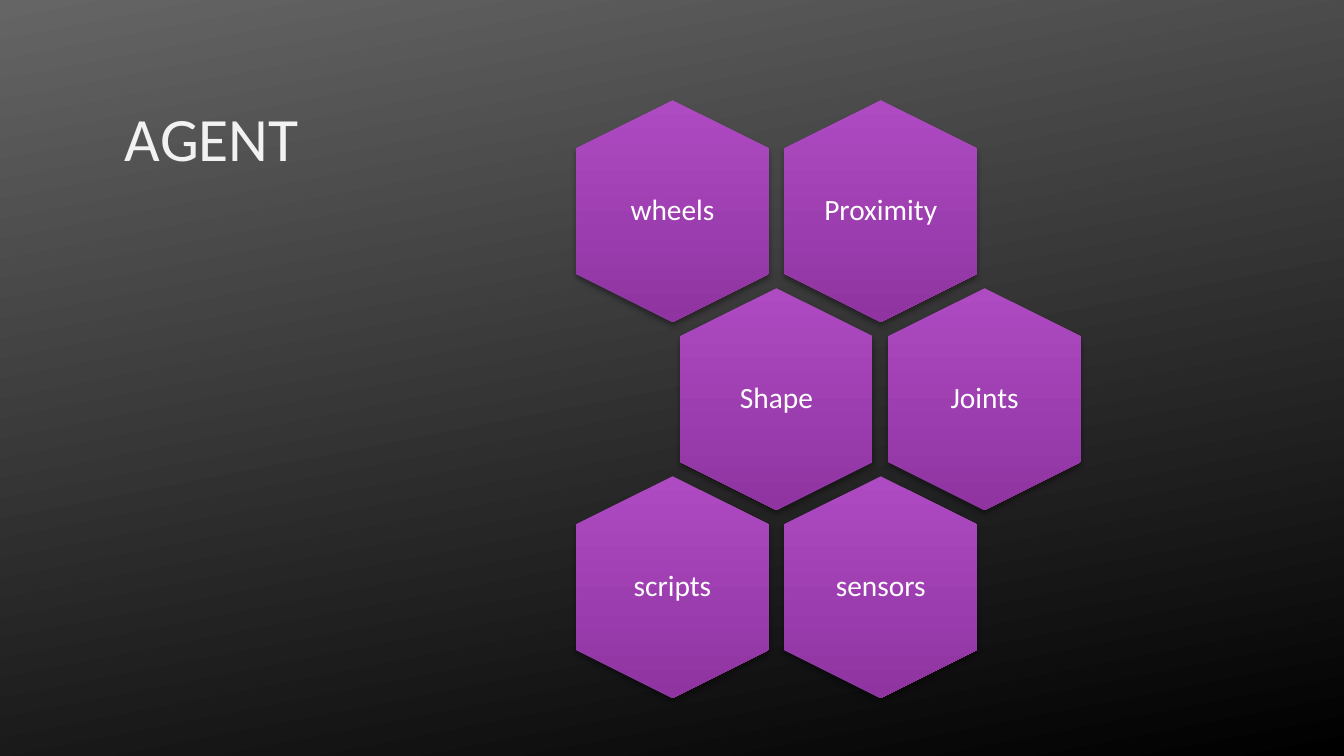
from pptx import Presentation
from pptx.dml.color import RGBColor
from pptx.enum.shapes import MSO_SHAPE as Kind
from pptx.enum.text import MSO_ANCHOR as Anchor, PP_ALIGN as Align
from pptx.oxml import parse_xml
from pptx.oxml.ns import nsdecls, qn
from pptx.util import Inches, Pt

ROWS = [(0, ["wheels", "Proximity"]),
        (1.03, ["Shape", "Joints"]),
        (0, ["scripts", "sensors"])]
LEFT, TOP = 5.57, 1.14
STEP_X, STEP_Y = 2.065, 1.865
LONG, SHORT = 2.2, 1.91


def color(code):
    return RGBColor.from_string(code)


def blend(fill, first, last, angle):
    fill.gradient()
    fill.gradient_angle = 360 - angle
    for stop, code in zip(fill.gradient_stops, (first, last)):
        stop.color.rgb = color(code)


def add_text(slide, text, x, y, w, h, size=21, tint="FFFFFF", inset=0.0,
             align=Align.CENTER, anchor=Anchor.MIDDLE, spacing=0.9):
    frame = slide.shapes.add_textbox(
        Inches(x), Inches(y), Inches(w), Inches(h)).text_frame
    frame.word_wrap = True
    frame.vertical_anchor = anchor
    frame.margin_left = frame.margin_right = Inches(inset)
    frame.margin_top = frame.margin_bottom = Inches(inset / 2)
    para = frame.paragraphs[0]
    para.alignment = align
    para.line_spacing = spacing
    run = para.add_run()
    run.text = text
    run.font.name = "Calibri"
    run.font.size = Pt(size)
    run.font.color.rgb = color(tint)


def add_shade(shape):
    shape.shadow.inherit = False
    effects = shape._element.spPr.find(qn("a:effectLst"))
    effects.append(parse_xml(
        f'<a:outerShdw {nsdecls("a")} blurRad="{Pt(4)}" dist="{Pt(3)}" '
        'dir="5400000" algn="ctr" rotWithShape="0"><a:srgbClr val="000000">'
        '<a:alpha val="35000"/></a:srgbClr></a:outerShdw>'))


def add_cell(slide, text, x, y):
    cell = slide.shapes.add_shape(
        Kind.HEXAGON, Inches(x), Inches(y), Inches(LONG), Inches(SHORT))
    cell.rotation = 90
    cell.adjustments[0] = 0.25
    blend(cell.fill, "AE4AC2", "8F34A1", 90)
    cell._element.spPr.find(qn("a:gradFill")).set("rotWithShape", "0")
    cell.line.fill.background()
    add_shade(cell)
    add_text(slide, text, x + 0.44, y + 0.2, 1.32, 1.51)


def main():
    deck = Presentation()
    deck.slide_width, deck.slide_height = Inches(13.33), Inches(7.5)
    slide = deck.slides.add_slide(deck.slide_layouts[6])
    blend(slide.background.fill, "656565", "000000", 79)
    for row, (shift, names) in enumerate(ROWS):
        for col, name in enumerate(names):
            add_cell(slide, name, LEFT + shift + col * STEP_X,
                     TOP + row * STEP_Y)
    add_text(slide, "AGENT", 1.14, 0.94, 11.02, 1.33, size=44, tint="F2F2F2",
             inset=0.1, align=Align.LEFT, anchor=Anchor.TOP, spacing=1.0)
    deck.save("out.pptx")


if __name__ == "__main__":
    main()
